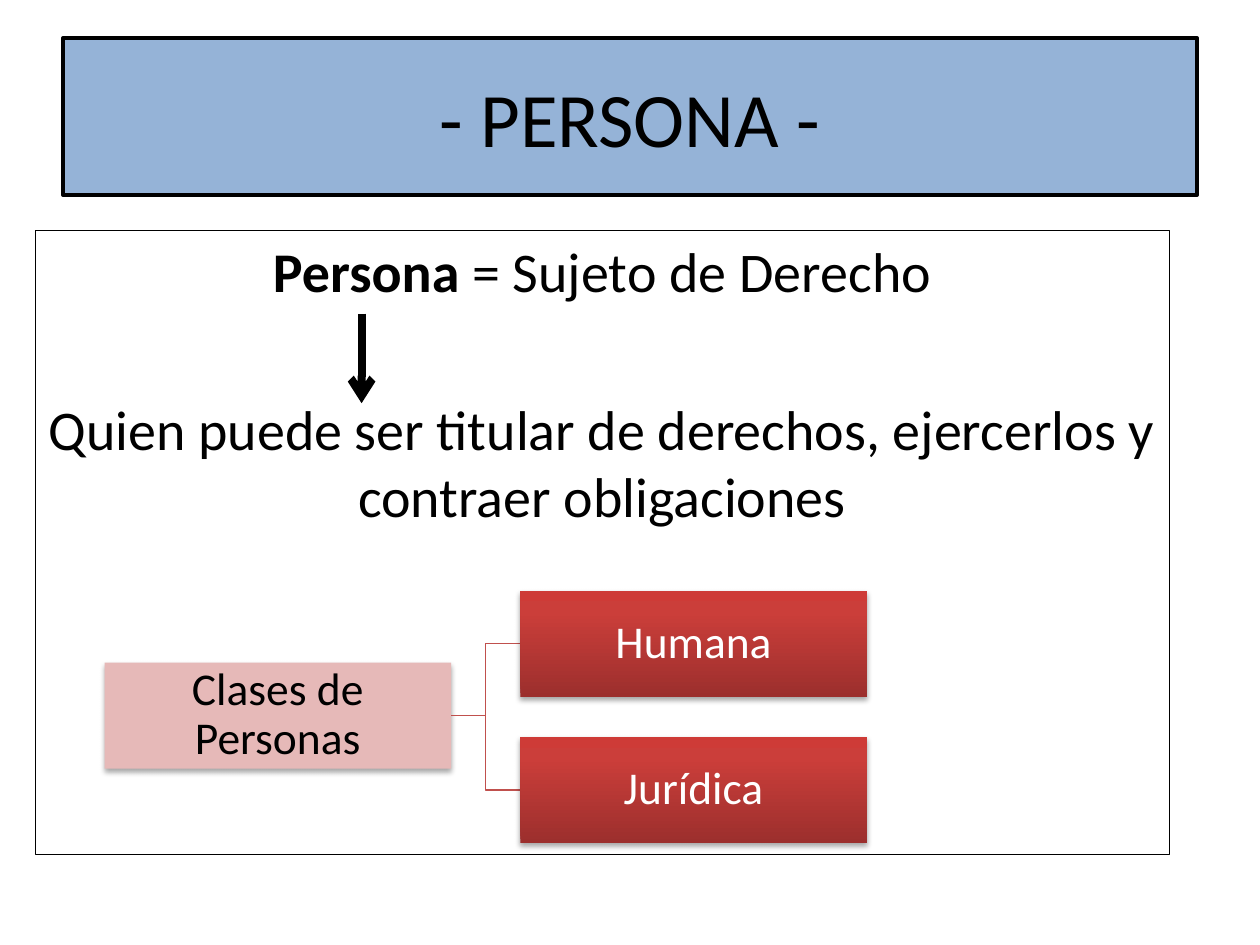
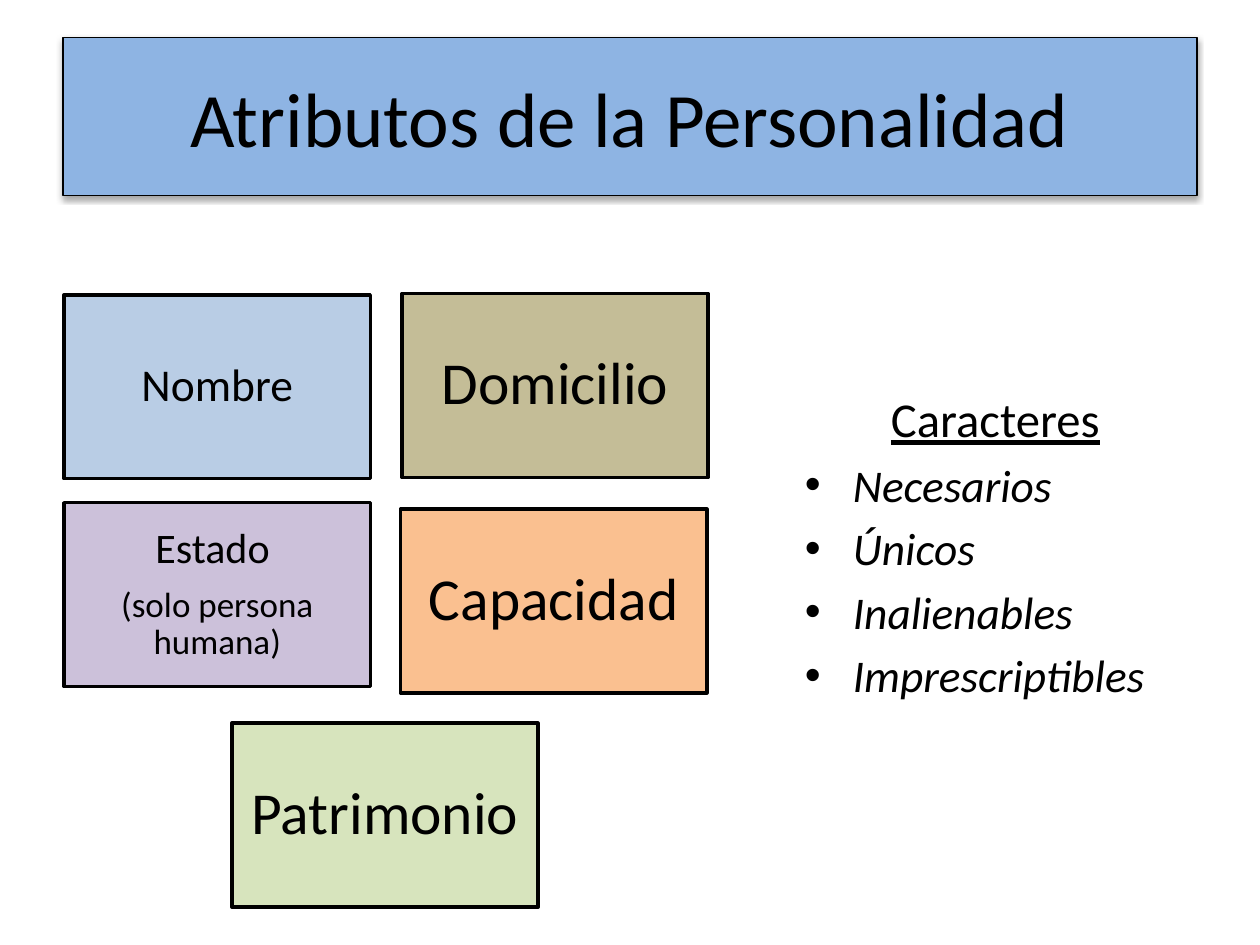
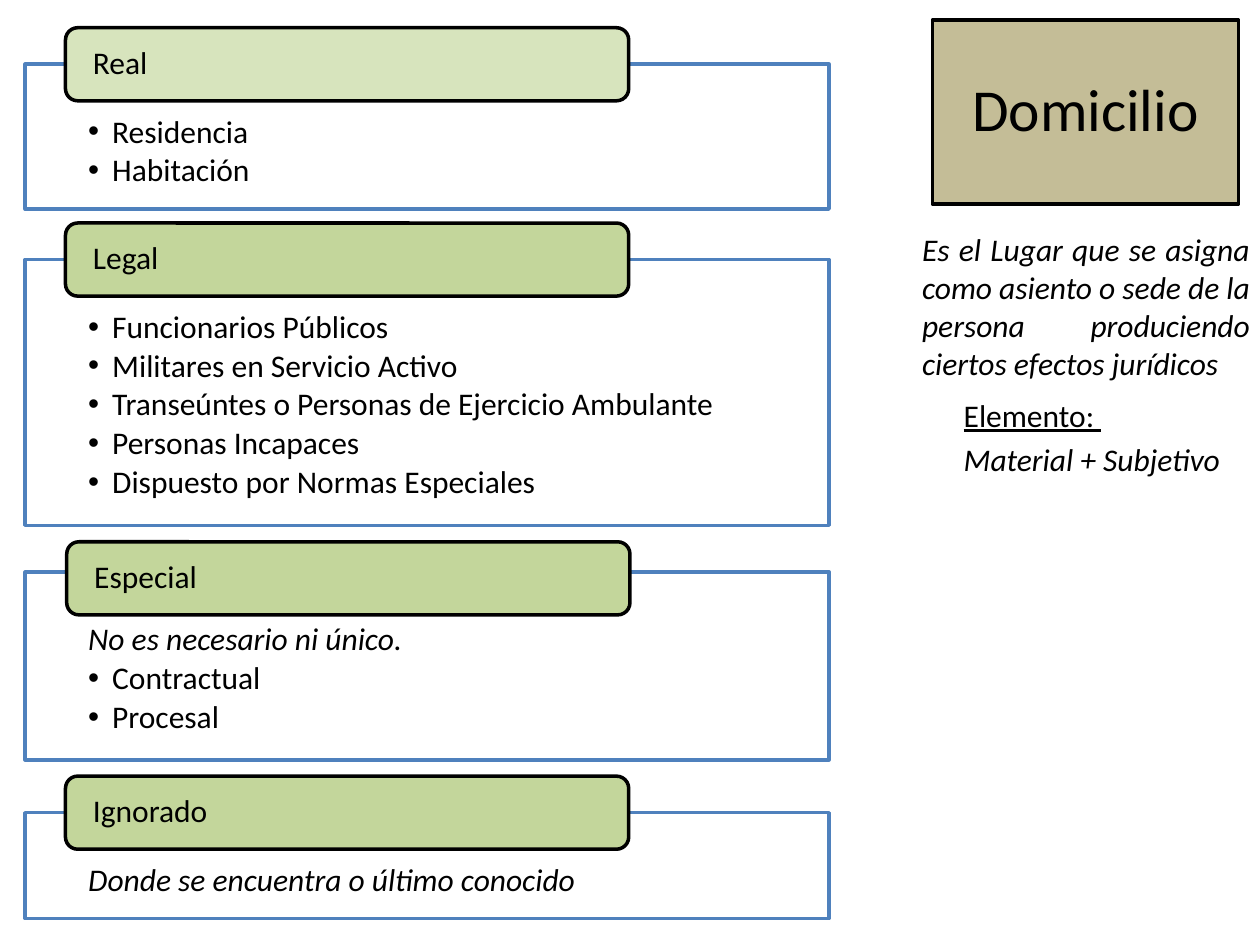
from copy import deepcopy

from lxml.etree import SubElement
from pptx import Presentation
from pptx.dml.color import RGBColor
from pptx.enum.shapes import MSO_CONNECTOR, MSO_SHAPE
from pptx.enum.text import MSO_ANCHOR, PP_ALIGN
from pptx.oxml.ns import qn
from pptx.util import Inches, Pt

# Shared style
FONT = "Calibri"
BLACK = RGBColor(0x00, 0x00, 0x00)
WHITE = RGBColor(0xFF, 0xFF, 0xFF)
STEEL_BLUE = RGBColor(0x95, 0xB3, 0xD7)
SKY_BLUE = RGBColor(0x8E, 0xB4, 0xE3)
PALE_BLUE = RGBColor(0xB9, 0xCD, 0xE5)
FRAME_BLUE = RGBColor(0x4F, 0x81, 0xBD)
LILAC = RGBColor(0xCC, 0xC1, 0xDA)
TAN = RGBColor(0xC4, 0xBD, 0x97)
ORANGE = RGBColor(0xFA, 0xC0, 0x90)
PALE_GREEN = RGBColor(0xD7, 0xE4, 0xBD)
GREEN = RGBColor(0xC3, 0xD6, 0x9B)
PINK = RGBColor(0xE6, 0xB9, 0xB8)
BRANCH_RED = RGBColor(0xC0, 0x50, 0x4D)
RED_GRADIENT = [
    (0.0, RGBColor(0x9C, 0x2F, 0x2D)),
    (0.8, RGBColor(0xCB, 0x3E, 0x3A)),
    (1.0, RGBColor(0xCE, 0x3B, 0x37)),
]
TITLE_ONLY, BLANK = 5, 6
TILE_SIZE = (2.43, 1.46)
CLASS_SIZE = (2.75, 0.84)

PARAGRAPH_KEYS = ("alignment", "line_spacing", "space_before", "space_after")
FONT_KEYS = ("name", "size", "bold", "italic", "underline")


def inches(*lengths):
    return [Inches(length) for length in lengths]


def set_format(target, values, keys):
    for key in keys:
        if key in values:
            setattr(target, key, values[key])


def set_indent(paragraph, left, hanging=0, bullet=False):
    properties = paragraph._p.get_or_add_pPr()
    properties.set("marL", str(Inches(left)))
    properties.set("indent", str(-Inches(hanging)))
    if bullet:
        SubElement(properties, qn("a:buFont"), typeface="Arial")
        SubElement(properties, qn("a:buChar"), char="•")


def write(shape, lines, anchor=MSO_ANCHOR.TOP, insets=(0.1, 0.05, 0.1, 0.05), **base):
    """Each line is (text or list of (text, font values), line values)."""
    frame = shape.text_frame
    frame.word_wrap = True
    frame.vertical_anchor = anchor
    sides = ("margin_left", "margin_top", "margin_right", "margin_bottom")
    for side, inset in zip(sides, insets):
        setattr(frame, side, Inches(inset))
    for index, (content, own) in enumerate(lines):
        style = {"name": FONT, "alignment": PP_ALIGN.LEFT, **base, **own}
        paragraph = frame.add_paragraph() if index else frame.paragraphs[0]
        set_format(paragraph, style, PARAGRAPH_KEYS)
        if "indent" in style:
            set_indent(paragraph, *style["indent"])
        runs = [(content, {})] if isinstance(content, str) else content
        for text, emphasis in runs:
            run = paragraph.add_run()
            run.text = text
            set_format(run.font, {**style, **emphasis}, FONT_KEYS)
            run.font.color.rgb = style.get("color", BLACK)


def paint(shape, fill=None, line=None, width=2):
    shape.shadow.inherit = False
    if fill is None:
        shape.fill.background()
    else:
        shape.fill.solid()
        shape.fill.fore_color.rgb = fill
    if line is None:
        shape.line.fill.background()
    else:
        shape.line.color.rgb = line
        shape.line.width = Pt(width)


def paint_gradient(shape, stops):
    fill = shape.fill
    fill.gradient()
    fill.gradient_angle = 90
    stop_list = shape._element.spPr.find(".//" + qn("a:gsLst"))
    stop_list.insert(1, deepcopy(stop_list[0]))
    for stop, (position, color) in zip(fill.gradient_stops, stops):
        stop.position = position
        stop.color.rgb = color


def cast_shadow(shape):
    effects = shape._element.spPr.find(qn("a:effectLst"))
    shadow = SubElement(effects, qn("a:outerShdw"), blurRad=str(Pt(3.1)),
                        dist=str(Pt(1.8)), dir="5400000", rotWithShape="0")
    color = SubElement(shadow, qn("a:srgbClr"), val="000000")
    SubElement(color, qn("a:alpha"), val="35000")


def add_box(slide, at, fill=None, line=None, width=2, kind=MSO_SHAPE.RECTANGLE):
    box = slide.shapes.add_shape(kind, *inches(*at))
    paint(box, fill, line, width)
    return box


def add_title(slide, text, fill, width):
    title = slide.shapes.title
    title.left, title.top, title.width, title.height = inches(0.5, 0.3, 9, 1.25)
    paint(title, fill, BLACK, width)
    write(title, [(text, {})], MSO_ANCHOR.MIDDLE, size=Pt(44), alignment=PP_ALIGN.CENTER)
    return title


def add_tile(slide, left, top, fill, lines):
    """Attribute tile; its insets and spacing follow the text size."""
    tile = add_box(slide, (left, top, *TILE_SIZE), fill, BLACK)
    inset = round(lines[0][1] * 0.3 / 72, 2)
    sized = [(text, {"size": Pt(size), "space_after": Pt(size * 0.35)})
             for text, size in lines]
    write(tile, sized, MSO_ANCHOR.MIDDLE, [inset] * 4,
          alignment=PP_ALIGN.CENTER, line_spacing=0.9)


def add_class(slide, left, top, text, color, fill=None):
    box = add_box(slide, (left, top, *CLASS_SIZE), fill)
    if fill is None:
        paint_gradient(box, RED_GRADIENT)
    cast_shadow(box)
    write(box, [(text, {})], MSO_ANCHOR.MIDDLE, [0.02] * 4, size=Pt(26), color=color,
          alignment=PP_ALIGN.CENTER, line_spacing=0.9, space_after=Pt(9.1))


def add_branch(slide, start, end):
    (x1, y1), (x2, y2) = start, end
    middle = (x1 + x2) / 2
    builder = slide.shapes.build_freeform(*inches(x1, y1))
    corners = [(middle, y1), (middle, y2), (x2, y2)]
    builder.add_line_segments([inches(*corner) for corner in corners], close=False)
    paint(builder.convert_to_shape(), line=BRANCH_RED, width=0.75)


def add_arrow(slide, start, end):
    arrow = slide.shapes.add_connector(MSO_CONNECTOR.STRAIGHT, *inches(*start, *end))
    arrow.line.color.rgb = BLACK
    arrow.line.width = Pt(4.5)
    properties = arrow._element.spPr
    SubElement(properties.find(qn("a:ln")), qn("a:tailEnd"), type="arrow")
    SubElement(properties, qn("a:effectLst"))


def add_text(slide, at, lines, **base):
    write(slide.shapes.add_textbox(*inches(*at)), lines, **base)


def add_domicile_kind(slide, name, top, height, fill, lines, tab_left=0.52, overlap=0.29):
    """Framed list with a rounded tab over its upper edge."""
    panel = add_box(slide, (0.2, top, 6.38, height), WHITE, FRAME_BLUE)
    write(panel, lines, insets=(0.5, 0.41, 0.5, 0.14), size=Pt(18),
          line_spacing=0.9, space_after=Pt(2.7))
    tab = add_box(slide, (tab_left, top - overlap, 4.47, 0.58), fill, BLACK,
                  kind=MSO_SHAPE.ROUNDED_RECTANGLE)
    write(tab, [(name, {})], MSO_ANCHOR.MIDDLE, (0.19, 0, 0.19, 0),
          size=Pt(18), line_spacing=0.9, space_after=Pt(6.3))


def bullets(*texts):
    return [(text, {"indent": (0.19, 0.19, True)}) for text in texts]


def remark(text):
    return [(text, {"indent": (0.19, 0.19), "italic": True})]


def build_person(slide):
    add_title(slide, "- PERSONA -", STEEL_BLUE, 2)

    # Definition
    definition = add_box(slide, (0.28, 1.83, 9, 4.95), line=BLACK, width=0.75)
    write(definition, [
        ([("Persona", {"bold": True}), (" = Sujeto de Derecho", {})],
         {"space_before": Pt(6.4)}),
        ("Quien puede ser titular de derechos, ejercerlos y contraer obligaciones",
         {"space_before": Pt(51.8)}),
    ], size=Pt(32), alignment=PP_ALIGN.CENTER)
    add_arrow(slide, (2.87, 2.49), (2.87, 3.2))

    # Classes of person
    root_left, root_top, kind_left = 0.83, 5.26, 4.13
    width, height = CLASS_SIZE
    fork = (root_left + width, root_top + height / 2)
    add_class(slide, root_left, root_top, "Clases de Personas", BLACK, PINK)
    for name, top in (("Humana", 4.69), ("Jurídica", 5.85)):
        add_branch(slide, fork, (kind_left, top + height / 2))
        add_class(slide, kind_left, top, name, WHITE)


def build_attributes(slide):
    cast_shadow(add_title(slide, "Atributos de la Personalidad", SKY_BLUE, 0.75))

    # Attribute tiles
    for left, top, fill, lines in (
        (0.51, 2.34, PALE_BLUE, [("Nombre", 26)]),
        (0.51, 3.99, LILAC, [("Estado ", 24), ("(solo persona humana)", 20)]),
        (3.19, 2.33, TAN, [("Domicilio", 34)]),
        (3.18, 4.04, ORANGE, [("Capacidad", 34)]),
        (1.84, 5.74, PALE_GREEN, [("Patrimonio", 34)]),
    ):
        add_tile(slide, left, top, fill, lines)

    # Characteristics
    heading = ("Caracteres", {"size": Pt(27.8), "underline": True, "indent": (0.12,),
                              "alignment": PP_ALIGN.CENTER, "space_before": Pt(5.6)})
    traits = [(trait, {"italic": True, "indent": (0.49, 0.38, True)}) for trait in
              ("Necesarios", "Únicos", "Inalienables", "Imprescriptibles")]
    add_text(slide, (6.18, 3.04, 3.32, 2.52), [heading, *traits],
             size=Pt(25.9), space_before=Pt(5.2))


def build_domicile(slide):
    # Kinds of domicile
    add_domicile_kind(slide, "Real", 0.51, 1.15, PALE_GREEN,
                      bullets("Residencia", "Habitación"))
    add_domicile_kind(slide, "Legal", 2.06, 2.11, GREEN, bullets(
        "Funcionarios Públicos", "Militares en Servicio Activo",
        "Transeúntes o Personas de Ejercicio Ambulante", "Personas Incapaces",
        "Dispuesto por Normas Especiales"))
    add_domicile_kind(slide, "Especial", 4.54, 1.49, GREEN,
                      remark("No es necesario ni único.")
                      + bullets("Contractual", "Procesal"),
                      tab_left=0.53, overlap=0.24)
    add_domicile_kind(slide, "Ignorado", 6.45, 0.84, GREEN,
                      remark("Donde se encuentra o último conocido"))

    # Definition and elements
    add_tile(slide, 7.4, 0.16, TAN, [("Domicilio", 34)])
    add_text(slide, (7.22, 1.78, 2.8, 1.31), [
        ("Es el Lugar que se asigna como asiento o sede de la persona "
         "produciendo ciertos efectos jurídicos", {}),
    ], size=Pt(18), italic=True, alignment=PP_ALIGN.JUSTIFY)
    add_text(slide, (7.43, 3.09, 2.36, 0.83), [
        ("Elemento: ", {"underline": True}),
        ("Material + Subjetivo", {"italic": True}),
    ], size=Pt(18), alignment=PP_ALIGN.JUSTIFY, indent=(0.12,), space_before=Pt(3.6))


def main():
    deck = Presentation()
    deck.slide_width, deck.slide_height = inches(10, 7.5)
    for layout, build in ((TITLE_ONLY, build_person), (TITLE_ONLY, build_attributes),
                          (BLANK, build_domicile)):
        build(deck.slides.add_slide(deck.slide_layouts[layout]))
    deck.save("out.pptx")


if __name__ == "__main__":
    main()
